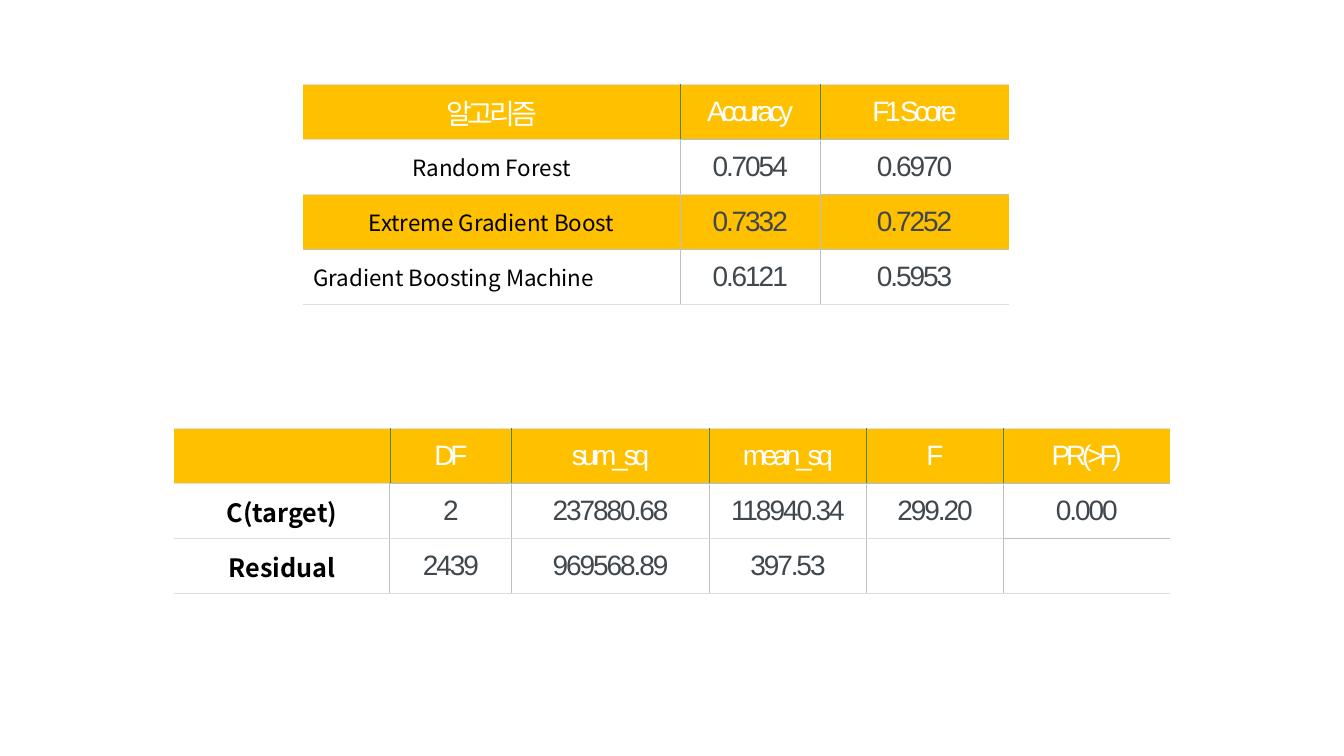
from lxml.etree import SubElement
from pptx import Presentation
from pptx.dml.color import RGBColor
from pptx.enum.text import MSO_ANCHOR as Anchor, PP_ALIGN as Align
from pptx.oxml.ns import qn
from pptx.util import Pt

COLORS = {
    "amber": "FFC000", "white": "FFFFFF", "black": "000000", "slate": "40474D",
    "green": "548235", "blue": "9DC3E6", "gray": "BFBFBF", "pale": "DFDFDF",
}
ROW_HEIGHT = 39.3
HEADER_STYLE = ("Arial", 20, "white", -3, False)
VALUE_STYLE = ("Arial", 20, "slate", -1.5, False)
MODEL_STYLE = ("Noto Sans CJK KR", 16, "black", 0, False)
SOURCE_STYLE = ("Noto Sans CJK KR", 18, "black", 0, True)

SCORES = [
    ["알고리즘", "Accuracy", "F1 Score"],
    ["Random Forest", "0.7054", "0.6970"],
    ["Extreme Gradient Boost", "0.7332", "0.7252"],
    ["Gradient Boosting Machine", "0.6121", "0.5953"],
]
VARIANCE = [
    ["", "DF", "sum_sq", "mean_sq", "F", "PR(>F)"],
    ["C(target)", "2", "237880.68", "118940.34", "299.20", "0.000"],
    ["Residual", "2439", "969568.89", "397.53", "", ""],
]


def rgb(name):
    return RGBColor.from_string(COLORS[name])


def write_cell(cell, text, style, align):
    name, size, color, spacing, bold = style
    cell.vertical_anchor = Anchor.MIDDLE
    para = cell.text_frame.paragraphs[0]
    para.alignment = align
    if text:
        para.add_run().text = text
    font = para.font
    font.name, font.size, font.bold = name, Pt(size), bold
    font.color.rgb = rgb(color)
    para._p.get_or_add_pPr().get_or_add_defRPr().set("spc", str(int(spacing * 100)))


def set_borders(cell, borders):
    properties = cell._tc.get_or_add_tcPr()
    for index, (side, border) in enumerate(borders.items()):
        line = SubElement(properties, qn(f"a:ln{side}"))
        properties.insert(index, line)
        if border is None:
            SubElement(line, qn("a:noFill"))
            continue
        color, width = border
        line.set("w", str(Pt(width)))
        fill = SubElement(line, qn("a:solidFill"))
        SubElement(fill, qn("a:srgbClr")).set("val", COLORS[color])


def add_data_table(page, left, top, widths, rows, label_style, highlight=None, left_row=None):
    last_row, last_col = len(rows) - 1, len(widths) - 1
    frame = page.shapes.add_table(len(rows), len(widths), Pt(left), Pt(top),
                                  Pt(sum(widths)), Pt(ROW_HEIGHT * len(rows)))
    table = frame.table
    for column, width in zip(table.columns, widths):
        column.width = Pt(width)
    for row in table.rows:
        row.height = Pt(ROW_HEIGHT)

    def edge_below(row, col):
        if row == 0 and col > 0:
            return "blue", 0.5
        strong = 0 < row < last_row and (col == last_col or row == highlight)
        return ("gray" if strong else "pale"), 1

    for row, texts in enumerate(rows):
        divider = ("green", 0.5) if row == 0 else ("gray", 1)
        for col, text in enumerate(texts):
            cell = table.cell(row, col)
            cell.fill.solid()
            cell.fill.fore_color.rgb = rgb("amber" if row in (0, highlight) else "white")
            style = HEADER_STYLE if row == 0 else label_style if col == 0 else VALUE_STYLE
            align = Align.LEFT if col == 0 and row == left_row else Align.CENTER
            write_cell(cell, text, style, align)
            set_borders(cell, {
                "L": divider if col else None,
                "R": divider if col < last_col else None,
                "T": edge_below(row - 1, col) if row else ("pale", 1),
                "B": edge_below(row, col),
            })


def main():
    deck = Presentation()
    deck.slide_width, deck.slide_height = Pt(960), Pt(540)
    page = deck.slides.add_slide(deck.slide_layouts[6])
    add_data_table(page, 216.5, 60.4, [269.3, 100.1, 134.6], SCORES,
                   MODEL_STYLE, highlight=2, left_row=3)
    add_data_table(page, 124.4, 306.2, [154.1, 87.1, 141.1, 112.3, 97.9, 118.8],
                   VARIANCE, SOURCE_STYLE)
    deck.save("out.pptx")


if __name__ == "__main__":
    main()
